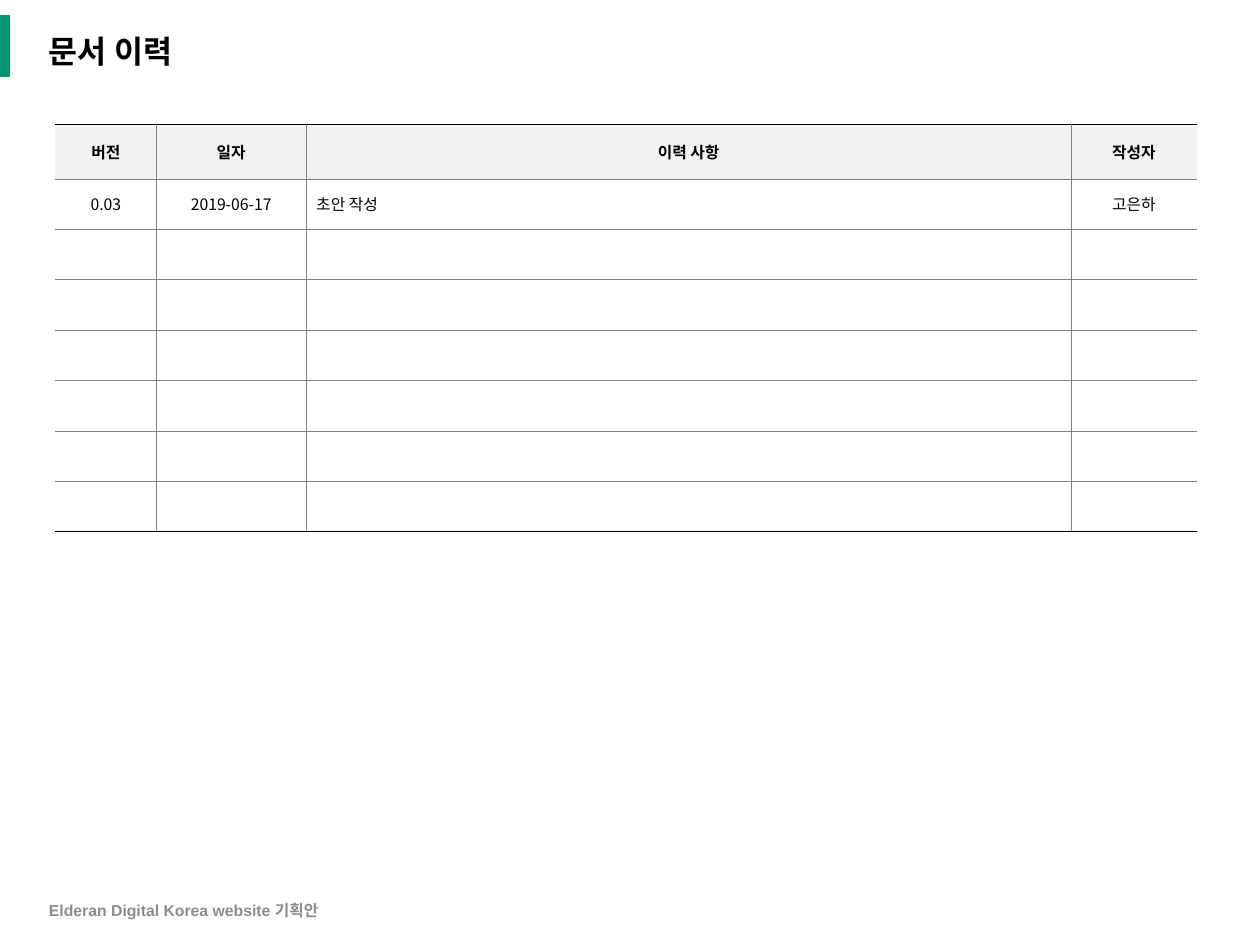
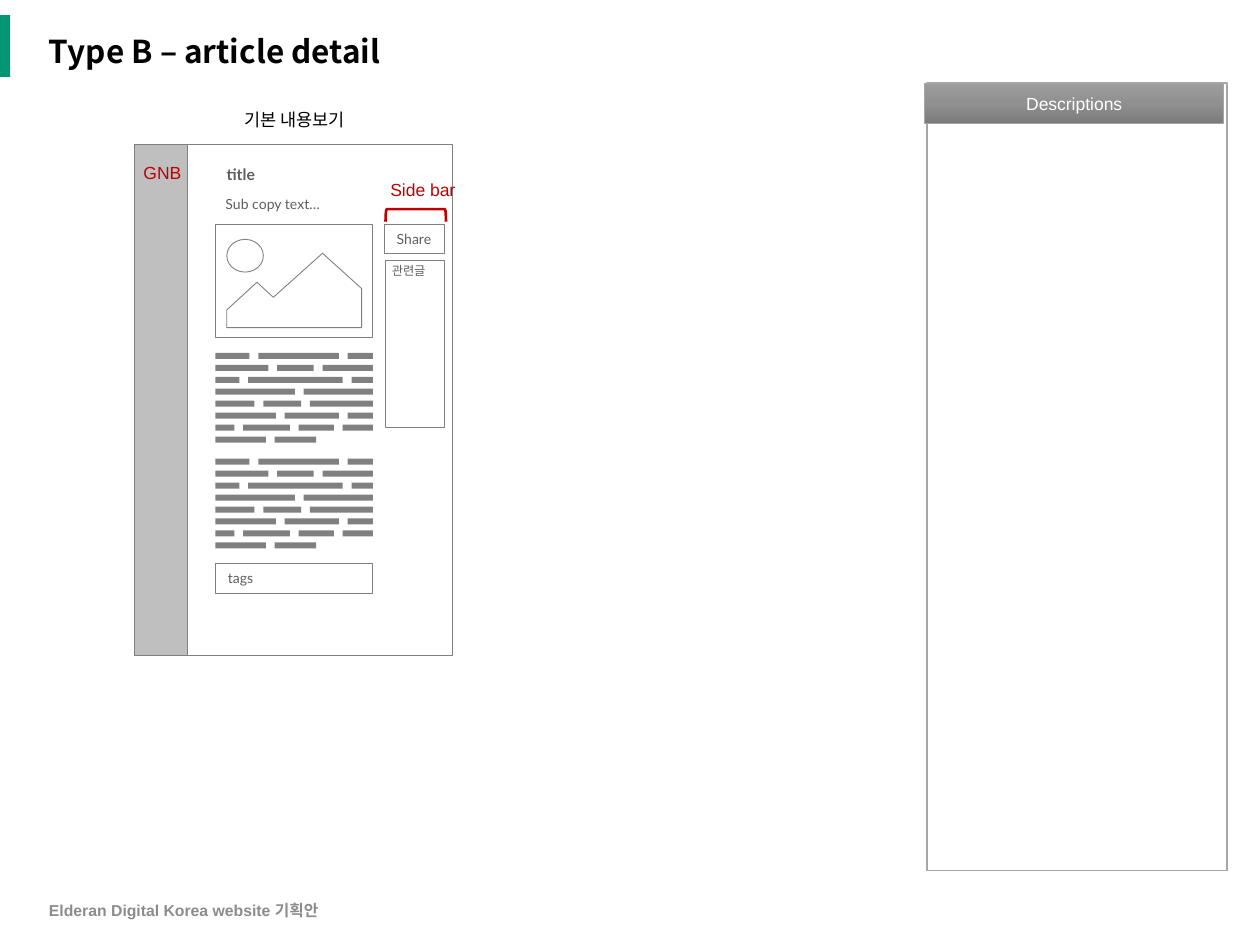
from copy import deepcopy
from dataclasses import dataclass
from typing import NamedTuple

from lxml.etree import SubElement
from pptx import Presentation
from pptx.dml.color import RGBColor
from pptx.enum.shapes import MSO_SHAPE
from pptx.enum.text import MSO_ANCHOR, PP_ALIGN
from pptx.oxml.ns import qn
from pptx.util import Inches, Pt


@dataclass(frozen=True)
class Theme:
    """Colours, fonts and type sizes shared by every slide."""

    accent: str = "029676"
    ink: str = "000000"
    paper: str = "FFFFFF"
    footer: str = "8C8C8C"
    header: str = "F2F2F2"
    rule: str = "808080"
    frame: str = "A6A6A6"
    menu: str = "BFBFBF"
    soft: str = "5F5F5F"
    note: str = "C00000"
    gradient: tuple = ("9D9D9D", "909090", "7C7C7C")
    korean: str = "Noto Sans CJK KR"
    plain: str = "Arial"
    mockup: str = "Lato"
    title_size: int = 18
    label_size: int = 10
    body_size: int = 9
    small_size: int = 8
    tiny_size: int = 7
    hairline: float = 0.5
    edge: float = 0.75


THEME = Theme()


class Box(NamedTuple):
    """A rectangle measured in inches."""

    left: float
    top: float
    width: float
    height: float

    def inner(self, across, down, width, height):
        """Return a box offset from this one's top left corner."""
        return Box(self.left + across, self.top + down, width, height)

    def lengths(self):
        """Return the four measures as slide lengths."""
        return [Inches(value) for value in self]


FOOTER = "Elderan Digital Korea website 기획안"
HISTORY_COLUMNS = (0.8, 1.19, 6.07, 1)
HISTORY_ROWS = [
    ("버전", "일자", "이력 사항", "작성자"),
    ("0.03", "2019-06-17", "초안 작성", "고은하"),
] + [("",) * 4] * 6
WORD_GAP = 0.07
WORD_WIDTHS = (
    (0.27, 0.64),
    (0.42, 0.29),
    (0.19, 0.75),
    (0.63,),
    (0.31, 0.3),
    (0.48, 0.43),
    (0.15, 0.37, 0.28),
    (0.4, 0.33),
)
HILLS = ((0.09, 0.68), (0.33, 0.46), (0.46, 0.58), (0.85, 0.23),
         (1.16, 0.51), (1.16, 0.82), (0.09, 0.82))


def rgb(code):
    """Turn a hex code into a colour."""
    return RGBColor.from_string(code)


def paint(shape, fill=None, line=None, weight=THEME.hairline):
    """Give a shape its fill and outline, without a shadow."""
    shape.shadow.inherit = False
    if fill:
        shape.fill.solid()
        shape.fill.fore_color.rgb = rgb(fill)
    else:
        shape.fill.background()
    if line:
        shape.line.color.rgb = rgb(line)
        shape.line.width = Pt(weight)
    else:
        shape.line.fill.background()
    return shape


def add_preset(shapes, box, fill=None, line=None, kind=MSO_SHAPE.RECTANGLE,
               weight=THEME.hairline):
    """Add a painted preset shape."""
    return paint(shapes.add_shape(kind, *box.lengths()), fill, line, weight)


def add_outline(shapes, contours, fill, line=None):
    """Add one freeform made of closed contours."""
    contours = [[(Inches(x), Inches(y)) for x, y in points] for points in contours]
    builder = shapes.build_freeform(*contours[0][0])
    for index, points in enumerate(contours):
        if index:
            builder.move_to(*points[0])
        builder.add_line_segments(points[1:], close=True)
    return paint(builder.convert_to_shape(), fill, line)


def write(frame, text, size, font, color, bold=False, align=PP_ALIGN.LEFT):
    """Set the only paragraph of a text frame and format it."""
    frame.text = text
    para = frame.paragraphs[0]
    para.alignment = align
    for span in para.runs:
        span.font.size = Pt(size)
        span.font.bold = bold
        span.font.color.rgb = rgb(color)
        span.font.name = font
        SubElement(span.font._element, qn("a:ea")).set("typeface", THEME.korean)
    return para


def set_margins(target, side, end):
    """Set the inner margins of a text frame or table cell."""
    target.margin_left = target.margin_right = Inches(side)
    target.margin_top = target.margin_bottom = Inches(end)


def add_label(shapes, box, text, size, font, color, bold=False,
              align=PP_ALIGN.LEFT, anchor=MSO_ANCHOR.TOP, side=0.1, end=0.05):
    """Add a wrapping text box and return its paragraph."""
    frame = shapes.add_textbox(*box.lengths()).text_frame
    frame.word_wrap = True
    frame.vertical_anchor = anchor
    set_margins(frame, side, end)
    return write(frame, text, size, font, color, bold, align)


def add_page(deck, title):
    """Add a slide with the accent band, title and footer."""
    page = deck.slides.add_slide(deck.slide_layouts[6])
    add_preset(page.shapes, Box(0, 0.12, 0.08, 0.49), THEME.accent)
    heading = add_label(page.shapes, Box(0.29, 0.18, 9.45, 0.49), title,
                        THEME.title_size, THEME.korean, THEME.ink, True,
                        anchor=MSO_ANCHOR.MIDDLE)
    heading.line_spacing = 0.9
    add_label(page.shapes, Box(0.29, 7.1, 3.38, 0.25), FOOTER, THEME.body_size,
              THEME.plain, THEME.footer, True, anchor=MSO_ANCHOR.MIDDLE)
    return page


def set_border(cell, side, color, weight):
    """Draw one cell border, or clear it when there is no colour."""
    line = SubElement(cell._tc.get_or_add_tcPr(), qn(f"a:ln{side}"))
    if color:
        line.set("w", str(Pt(weight)))
        fill = SubElement(line, qn("a:solidFill"))
        SubElement(fill, qn("a:srgbClr")).set("val", color)
    else:
        line.set("w", "0")
        SubElement(line, qn("a:noFill"))


def add_history(page, box):
    """Add the document history table."""
    last_row, last_column = len(HISTORY_ROWS) - 1, len(HISTORY_COLUMNS) - 1
    table = page.shapes.add_table(last_row + 1, last_column + 1, *box.lengths()).table
    table.first_row = table.horz_banding = False
    for column, width in zip(table.columns, HISTORY_COLUMNS):
        column.width = Inches(width)
    inside, outside = (THEME.rule, THEME.hairline), (THEME.ink, THEME.edge)
    for r, values in enumerate(HISTORY_ROWS):
        table.rows[r].height = Inches(0.4 if r else 0.43)
        for c, text in enumerate(values):
            cell = table.cell(r, c)
            set_margins(cell, 0.08, 0.04)
            cell.vertical_anchor = MSO_ANCHOR.MIDDLE
            align = PP_ALIGN.LEFT if r and c == 2 else PP_ALIGN.CENTER
            write(cell.text_frame, text, THEME.body_size, THEME.korean,
                  THEME.ink, r == 0, align)
            set_border(cell, "L", *(inside if c else (None, 0)))
            set_border(cell, "R", *(inside if c < last_column else (None, 0)))
            set_border(cell, "T", *(inside if r else outside))
            set_border(cell, "B", *(inside if r < last_row else outside))
            if r:
                cell.fill.background()
            else:
                cell.fill.solid()
                cell.fill.fore_color.rgb = rgb(THEME.header)


def add_descriptions(page, box):
    """Add the empty descriptions panel with its gradient heading."""
    add_preset(page.shapes, box, THEME.paper, THEME.frame, weight=1)
    heading = add_preset(page.shapes, box.inner(-0.02, 0, 2.37, 0.32),
                         line=THEME.frame)
    heading.fill.gradient()
    heading.fill.gradient_angle = 270
    stops = heading._element.spPr.find(".//" + qn("a:gsLst"))
    stops.insert(1, deepcopy(stops[0]))
    for index, stop in enumerate(heading.fill.gradient_stops):
        stop.position = index / 2
        stop.color.rgb = rgb(THEME.gradient[index])
    frame = heading.text_frame
    set_margins(frame, 0.04, 0.04)
    frame.vertical_anchor = MSO_ANCHOR.MIDDLE
    write(frame, "Descriptions", THEME.label_size, THEME.plain, THEME.paper,
          align=PP_ALIGN.CENTER)


def add_landscape(page, box):
    """Add the image placeholder with its sun and hills."""
    shapes = page.shapes.add_group_shape().shapes
    add_preset(shapes, box, THEME.paper, THEME.rule)
    hills = [(box.left + x, box.top + y) for x, y in HILLS]
    add_outline(shapes, [hills], THEME.paper, THEME.rule)
    add_preset(shapes, box.inner(0.09, 0.12, 0.29, 0.26), THEME.paper,
               THEME.rule, MSO_SHAPE.OVAL)


def add_body_copy(page, box):
    """Add a block of dashed bars that stands for a paragraph."""
    shapes = page.shapes.add_group_shape().shapes
    pitch = box.height / len(WORD_WIDTHS)
    for index, widths in enumerate(WORD_WIDTHS):
        top = box.top + index * pitch
        bottom = top + pitch / 2
        left, words = box.left, []
        for width in widths:
            words.append((left, left + width))
            left += width + WORD_GAP
        if index < len(WORD_WIDTHS) - 1:
            words.append((left, box.left + box.width))
        bars = [[(a, top), (a, bottom), (b, bottom), (b, top)] for a, b in words]
        add_outline(shapes, bars, THEME.rule)


def add_field(page, box, text):
    """Add an outlined field with a short caption."""
    frame = add_preset(page.shapes, box, THEME.paper, THEME.rule).text_frame
    frame.word_wrap = False
    frame.vertical_anchor = MSO_ANCHOR.TOP
    write(frame, text, THEME.small_size, THEME.mockup, THEME.soft)


def add_article(page, box):
    """Add the article wireframe with its menu, content and side bar."""
    shapes = page.shapes
    mockup_style = (THEME.mockup, THEME.soft)
    note_style = (THEME.label_size, THEME.plain, THEME.note)
    add_preset(shapes, box, line=THEME.rule)
    add_preset(shapes, box.inner(0, 0, 0.42, box.height), THEME.menu, THEME.rule)
    add_label(shapes, box.inner(0.63, 0.11, 1.89, 0.25), "title",
              THEME.body_size, *mockup_style, bold=True)
    add_label(shapes, box.inner(0.64, 0.36, 1.83, 0.22), "Sub copy text…",
              THEME.small_size, *mockup_style, side=0.08, end=0.04)
    add_landscape(page, box.inner(0.64, 0.63, 1.25, 0.9))
    for down in (1.65, 2.49):
        add_body_copy(page, box.inner(0.64, down, 1.25, 0.76))
    add_field(page, box.inner(0.64, 3.32, 1.25, 0.24), "tags")
    add_field(page, box.inner(1.98, 0.63, 0.48, 0.23), "Share")
    add_preset(shapes, box.inner(1.99, 0.92, 0.47, 1.32), THEME.paper, THEME.rule)
    add_label(shapes, box.inner(1.96, 0.9, 0.59, 0.2), "관련글",
              THEME.tiny_size, *mockup_style, side=0.08, end=0.04)
    add_label(shapes, box.inner(-0.03, 0.09, 0.59, 0.27), "GNB", *note_style)
    add_label(shapes, box.inner(0, -0.33, 2.53, 0.27), "기본 내용보기",
              THEME.label_size, THEME.plain, THEME.ink, align=PP_ALIGN.CENTER)
    bracket = add_preset(shapes, box.inner(2.18, 0.32, 0.1, 0.48), None,
                         THEME.note, MSO_SHAPE.RIGHT_BRACKET, 1.5)
    bracket.rotation = 270
    add_label(shapes, box.inner(1.93, 0.22, 1.03, 0.27), "Side bar", *note_style)


def main():
    """Build the deck and save it."""
    deck = Presentation()
    deck.slide_width, deck.slide_height = Inches(10), Inches(7.5)
    add_history(add_page(deck, "문서 이력"), Box(0.44, 0.99, 9.06, 3.25))
    page = add_page(deck, "Type B – article detail")
    add_descriptions(page, Box(7.36, 0.66, 2.38, 6.25))
    add_article(page, Box(1.07, 1.15, 2.52, 4.05))
    deck.save("out.pptx")


if __name__ == "__main__":
    main()
